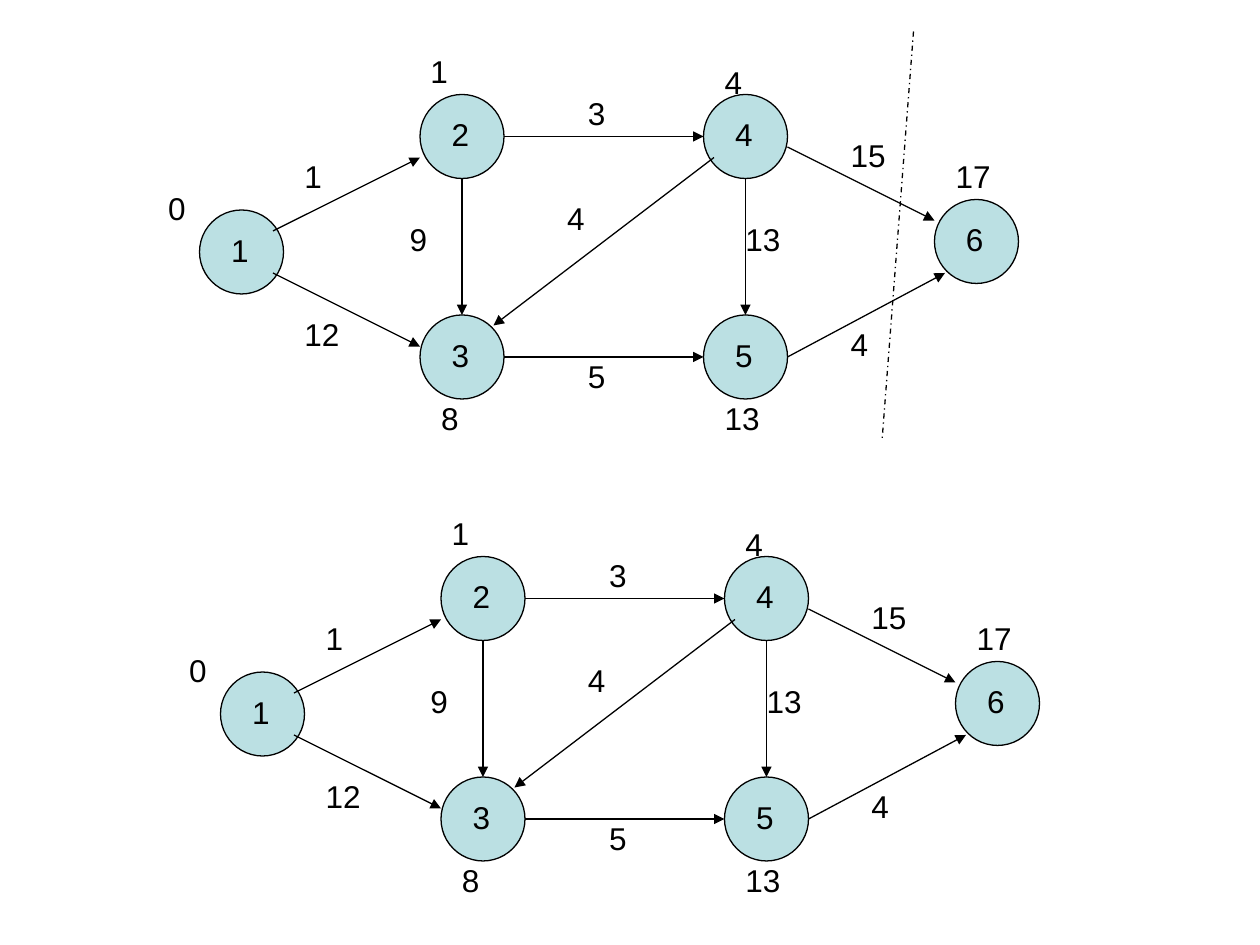
from lxml import etree
from pptx import Presentation
from pptx.dml.color import RGBColor
from pptx.enum.dml import MSO_LINE
from pptx.enum.shapes import MSO_CONNECTOR, MSO_SHAPE
from pptx.enum.text import MSO_AUTO_SIZE
from pptx.oxml.ns import qn
from pptx.util import Inches, Pt

OVAL = MSO_SHAPE.OVAL
LINE = MSO_CONNECTOR.STRAIGHT
DASH = MSO_LINE.DASH_DOT
GROW = MSO_AUTO_SIZE.SHAPE_TO_FIT_TEXT

COLORS = {"node": "BBE0E3", "ink": "000000"}
FONT = "Arial"
GRID = 12

NODES = [
    ("1", 19, 20), ("6", 89, 19), ("5", 67, 30),
    ("4", 67, 9), ("3", 40, 30), ("2", 40, 9),
]
EDGES = [
    (26, 22, 40, 15), (26, 26, 40, 33), (44, 17, 44, 30),
    (48, 34, 67, 34), (48, 13, 67, 13), (68, 15, 47, 31),
    (71, 17, 71, 30), (75, 14, 89, 21), (75, 34, 90, 26),
]
COSTS = [
    ("15", 81, 13), ("3", 56, 9), ("13", 71, 21),
    ("4", 54, 19), ("5", 56, 34), ("4", 81, 31),
    ("9", 39, 21), ("12", 29, 30), ("1", 29, 15),
]
TOTALS = [
    ("4", 69, 6), ("8", 42, 38), ("1", 41, 5),
    ("0", 16, 18), ("17", 91, 15), ("13", 69, 38),
]


def unit(n):
    return Inches(n / GRID)


def tint(name):
    return RGBColor.from_string(COLORS[name])


def add_label(shapes, text, x, y, width=4):
    box = shapes.add_textbox(unit(x), unit(y), unit(width), Inches(0.3))
    frame = box.text_frame
    frame.margin_left = frame.margin_right = 0
    frame.margin_top = frame.margin_bottom = 0
    frame.word_wrap = True
    frame.auto_size = GROW
    run = frame.paragraphs[0].add_run()
    run.text = text
    run.font.name = FONT
    run.font.size = Pt(18)
    run.font.color.rgb = tint("ink")


def add_node(shapes, text, x, y):
    group = shapes.add_group_shape()
    disc = group.shapes.add_shape(OVAL, unit(x), unit(y), unit(8), unit(8))
    disc.shadow.inherit = False
    disc.fill.solid()
    disc.fill.fore_color.rgb = tint("node")
    disc.line.color.rgb = tint("ink")
    disc.line.width = Pt(0.75)
    add_label(group.shapes, text, x + 3, y + 2, 2)


def add_line(shapes, x1, y1, x2, y2):
    line = shapes.add_connector(LINE, unit(x1), unit(y1), unit(x2), unit(y2))
    line.line.color.rgb = tint("ink")
    line.line.width = Pt(0.75)
    etree.SubElement(line._element.spPr, qn("a:effectLst"))
    return line


def add_arrow(shapes, x1, y1, x2, y2):
    line = add_line(shapes, x1, y1, x2, y2)
    etree.SubElement(line.line._get_or_add_ln(), qn("a:tailEnd"), type="triangle")


def add_graph(shapes, dx, dy):
    for text, x, y in NODES:
        add_node(shapes, text, x + dx, y + dy)
    for x1, y1, x2, y2 in EDGES:
        add_arrow(shapes, x1 + dx, y1 + dy, x2 + dx, y2 + dy)
    for text, x, y in COSTS + TOTALS:
        add_label(shapes, text, x + dx, y + dy)


def main():
    deck = Presentation()
    deck.slide_width = Inches(10)
    deck.slide_height = Inches(7.5)
    shapes = deck.slides.add_slide(deck.slide_layouts[6]).shapes
    add_graph(shapes, 2, 44)
    add_graph(shapes, 0, 0)
    cut = add_line(shapes, 87, 3, 84, 42)
    cut.line.dash_style = DASH
    deck.save("out.pptx")


if __name__ == "__main__":
    main()
